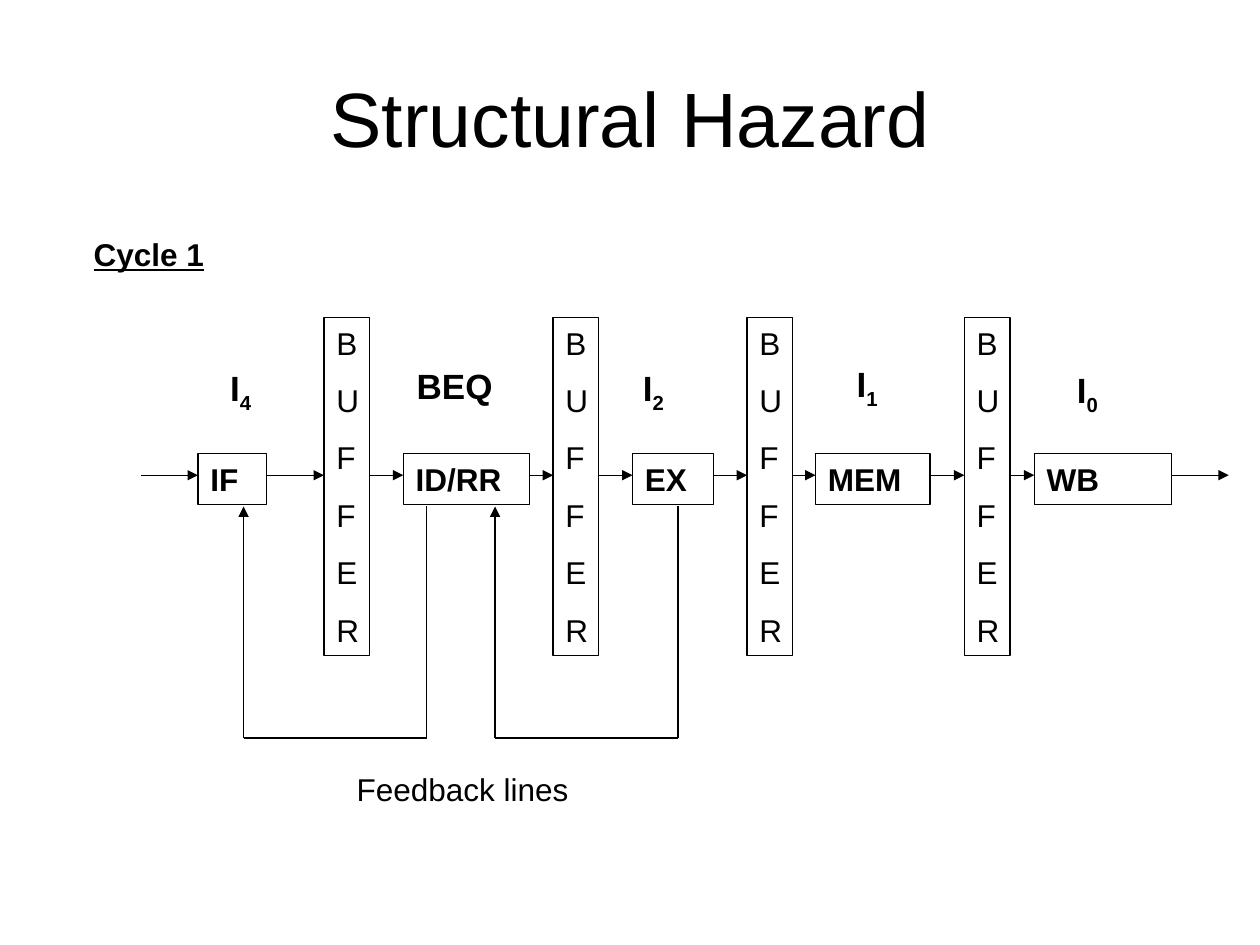
import pptx
import pptx.util
import pptx.dml.color
import pptx.enum.shapes
import pptx.enum.text
import pptx.oxml
import pptx.oxml.ns
from pptx.util import Cm

BLACK = pptx.dml.color.RGBColor(0, 0, 0)
LINE_WIDTH = pptx.util.Pt(0.74)
ALIGN = pptx.enum.text.PP_ALIGN


def add_run(p, text, size, bold=False, underline=False, sub=False):
    r = p.add_run()
    r.text = text
    r.font.name = "Arial"
    r.font.size = pptx.util.Pt(size)
    r.font.bold = bold
    r.font.underline = underline
    r.font.color.rgb = BLACK
    if sub:
        r._r.get_or_add_rPr().set("baseline", "-25000")


def add_text(s, x, y, w, h, text, size, sub="", **style):
    tf = s.shapes.add_textbox(Cm(x), Cm(y), Cm(w), Cm(h)).text_frame
    tf.word_wrap = True
    p = tf.paragraphs[0]
    add_run(p, text, size, **style)
    if sub:
        add_run(p, sub, size, sub=True, **style)
    return tf


def add_box(s, x, y, w, h, lines, bold=False):
    sp = s.shapes.add_shape(pptx.enum.shapes.MSO_SHAPE.RECTANGLE,
                            Cm(x), Cm(y), Cm(w), Cm(h))
    sp.shadow.inherit = False
    sp.fill.background()
    sp.line.color.rgb = BLACK
    sp.line.width = LINE_WIDTH
    tf = sp.text_frame
    tf.word_wrap = True
    tf.vertical_anchor = pptx.enum.text.MSO_ANCHOR.TOP
    for i, line in enumerate(lines):
        p = tf.add_paragraph() if i else tf.paragraphs[0]
        p.alignment = ALIGN.LEFT
        p.space_before = pptx.util.Pt(11.2)
        add_run(p, line, 18, bold)


def add_line(s, x1, y1, x2, y2, arrow=False):
    c = s.shapes.add_connector(pptx.enum.shapes.MSO_CONNECTOR.STRAIGHT,
                               Cm(x1), Cm(y1), Cm(x2), Cm(y2))
    c.line.color.rgb = BLACK
    c.line.width = LINE_WIDTH
    sp_pr = c._element.spPr
    if arrow:
        tail = pptx.oxml.parse_xml(
            '<a:tailEnd %s type="triangle"/>' % pptx.oxml.ns.nsdecls("a"))
        sp_pr.find(pptx.oxml.ns.qn("a:ln")).append(tail)
    sp_pr.append(pptx.oxml.parse_xml(
        "<a:effectLst %s/>" % pptx.oxml.ns.nsdecls("a")))


def add_heading(s, x, y, w, h):
    tf = add_text(s, x, y, w, h, "Structural Hazard", 44)
    tf.vertical_anchor = pptx.enum.text.MSO_ANCHOR.MIDDLE
    tf.paragraphs[0].alignment = ALIGN.CENTER


def add_pipeline(s, x, y, w):
    """Stages and buffers in a row, joined by arrows."""
    stages = [("IF", 1.15, 1.39), ("ID/RR", 5.29, 2.54), ("EX", 9.91, 1.63),
              ("MEM", 13.6, 2.31), ("WB", 18.01, 2.77)]
    buffers = [3.69, 8.31, 12.22, 16.6]
    buffer_w, flow_y = 0.92, y + 3.18

    for name, left, width in stages:
        add_box(s, x + left, y + 2.75, width, 1.02, [name], bold=True)
    for left in buffers:
        add_box(s, x + left, y, buffer_w, 6.81, "BUFFER")

    # Each arrow spans the gap between neighbouring boxes
    spans = sorted([(left, left + width) for _, left, width in stages]
                   + [(left, left + buffer_w) for left in buffers])
    starts = [0] + [right for _, right in spans]
    ends = [left for left, _ in spans] + [w]
    for start, end in zip(starts, ends):
        add_line(s, x + start, flow_y, x + end, flow_y, arrow=True)

    # Instruction held by each stage
    for text, sub, left, top, width in [
            ("I", "4", 1.55, 0.86, 1.2), ("BEQ", "", 5.31, 0.83, 2.3),
            ("I", "2", 9.87, 0.86, 1.2), ("I", "1", 14.18, 0.79, 1.2),
            ("I", "0", 18.62, 0.91, 1.2)]:
        add_text(s, x + left, y + top, width, 1.22, text, 20, sub, bold=True)


def add_feedback(s, x, y, w, h):
    """Line down, back to the left, and up into an earlier stage."""
    add_line(s, x + w, y, x + w, y + h)
    add_line(s, x + w, y + h, x, y + h)
    add_line(s, x, y + h, x, y, arrow=True)


prs = pptx.Presentation()
prs.slide_width, prs.slide_height = Cm(25.4), Cm(19.05)
s = prs.slides.add_slide(prs.slide_layouts[6])

add_heading(s, 1.27, 0.76, 22.88, 3.18)
add_text(s, 1.64, 4.62, 3, 1.02, "Cycle 1", 18, bold=True, underline=True)
add_pipeline(s, 2.84, 6.4, 21.93)
for left in (4.91, 9.98):
    add_feedback(s, left, 10.21, 3.69, 4.67)
add_text(s, 6.94, 15.39, 5, 1.02, "Feedback lines", 18)

prs.save("out.pptx")
